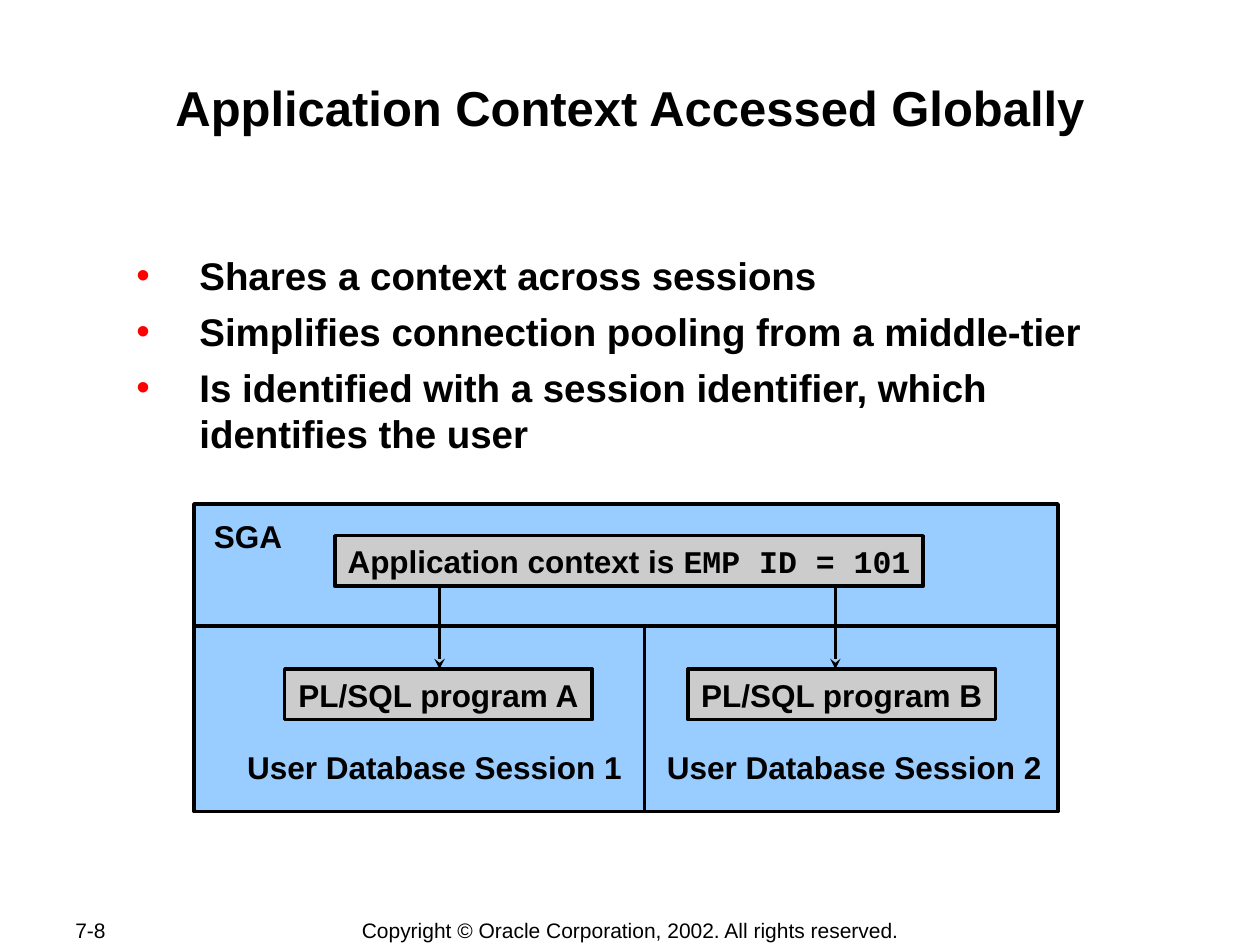
from dataclasses import dataclass
from lxml import etree
from pptx import Presentation
from pptx import util as u
from pptx.dml.color import RGBColor
from pptx.enum import shapes, text
from pptx.oxml import ns


@dataclass(frozen=True)
class Theme:
    ink: str = "000000"
    bullet: str = "FF0000"
    memory: str = "99CCFF"
    program: str = "CCCCCC"
    font: str = "Arial"
    code_font: str = "Courier New"
    title: int = 28
    body: int = 22
    label: int = 18
    footer: int = 12
    line: int = 2


THEME = Theme()
ALIGN = text.PP_ALIGN
ANCHOR = text.MSO_ANCHOR


def add_run(paragraph, content, size, name=THEME.font, bold=True):
    run = paragraph.add_run()
    run.text = content
    for key, value in dict(size=u.Pt(size), name=name, bold=bold).items():
        setattr(run.font, key, value)
    run.font.color.rgb = RGBColor.from_string(THEME.ink)


def format_frame(frame, margins, wrap, anchor):
    sides, ends = margins
    values = dict(
        margin_left=u.Cm(sides), margin_right=u.Cm(sides),
        margin_top=u.Cm(ends), margin_bottom=u.Cm(ends),
        word_wrap=wrap, vertical_anchor=anchor,
        auto_size=text.MSO_AUTO_SIZE.NONE,
    )
    for key, value in values.items():
        setattr(frame, key, value)


def place(shape, box):
    for key, value in zip(("left", "top", "width", "height"), box):
        setattr(shape, key, u.Cm(value))


def inside(box, left, top, width, height):
    """Turn a position relative to box into one on the slide."""
    return box[0] + left, box[1] + top, width, height


def add_rectangle(slide, box, fill):
    shape = slide.shapes.add_shape(shapes.MSO_SHAPE.RECTANGLE, *map(u.Cm, box))
    shape.shadow.inherit = False
    shape.fill.solid()
    shape.fill.fore_color.rgb = RGBColor.from_string(fill)
    shape.line.color.rgb = RGBColor.from_string(THEME.ink)
    shape.line.width = u.Pt(THEME.line)
    return shape


def add_label(shape, runs, size=THEME.label, bold=True, align=ALIGN.CENTER):
    """Write (text, font) runs on one line of a shape or text box."""
    format_frame(shape.text_frame, (0.25, 0.13), False, ANCHOR.MIDDLE)
    paragraph = shape.text_frame.paragraphs[0]
    paragraph.alignment = align
    for content, name in runs:
        add_run(paragraph, content, size, name, bold)


def add_caption(slide, box, content, **values):
    shape = slide.shapes.add_textbox(*map(u.Cm, box))
    add_label(shape, [(content, THEME.font)], **values)


def add_line(slide, box, start, end, arrow=False):
    points = [u.Cm(box[i] + point[i]) for point in (start, end) for i in (0, 1)]
    line = slide.shapes.add_connector(shapes.MSO_CONNECTOR.STRAIGHT, *points)
    line.line.color.rgb = RGBColor.from_string(THEME.ink)
    line.line.width = u.Pt(THEME.line)
    if arrow:
        etree.SubElement(line.line._get_or_add_ln(), ns.qn("a:tailEnd"), type="stealth")
    etree.SubElement(line._element.spPr, ns.qn("a:effectLst"))


def add_bullet(paragraph):
    properties = paragraph._p.get_or_add_pPr()
    properties.set("marL", str(u.Cm(1.6)))
    properties.set("indent", str(-u.Cm(1.27)))
    color = etree.SubElement(properties, ns.qn("a:buClr"))
    etree.SubElement(color, ns.qn("a:srgbClr"), val=THEME.bullet)
    etree.SubElement(properties, ns.qn("a:buFont"), typeface=THEME.font)
    etree.SubElement(properties, ns.qn("a:buChar"), char="•")


def fill_title(slide, box, content):
    title = slide.shapes.title
    place(title, box)
    format_frame(title.text_frame, (0.03, 0.1), True, ANCHOR.TOP)
    paragraph = title.text_frame.paragraphs[0]
    paragraph.alignment = ALIGN.CENTER
    add_run(paragraph, content, THEME.title)


def fill_list(slide, box, items):
    body = slide.placeholders[1]
    place(body, box)
    frame = body.text_frame
    format_frame(frame, (0.03, 0.03), True, ANCHOR.TOP)
    for index, item in enumerate(items):
        paragraph = frame.add_paragraph() if index else frame.paragraphs[0]
        add_bullet(paragraph)
        paragraph.space_before = u.Pt(5.5 if index else 0)
        add_run(paragraph, item, THEME.body)


def draw_memory(slide, box):
    """Draw the SGA with its shared context above two user sessions."""
    width, height = box[2:]
    divider = 2.46
    middle = 9.08
    add_rectangle(slide, box, THEME.memory)
    add_line(slide, box, (0, divider), (width, divider))
    add_line(slide, box, (middle, divider), (middle, height))
    add_caption(slide, inside(box, 0.15, 0.13, 1.88, 1.02), "SGA")

    context = add_rectangle(slide, inside(box, 2.84, 0.64, 11.86, 1.02), THEME.program)
    add_label(context, [("Application context is ", THEME.font),
                        ("EMP ID = 101", THEME.code_font)])

    sessions = (("A", 1, 1.83, 4.95, 0.81), ("B", 2, 9.96, 12.93, 9.27))
    for letter, number, program_left, arrow_x, caption_left in sessions:
        program = add_rectangle(slide, inside(box, program_left, 3.33, 6.2, 1.02),
                                THEME.program)
        add_label(program, [(f"PL/SQL program {letter}", THEME.font)])
        add_line(slide, box, (arrow_x, 1.66), (arrow_x, 3.33), arrow=True)
        add_caption(slide, inside(box, caption_left, 4.8, 8.08, 1.02),
                    f"User Database Session {number}")


def draw_footer(slide, box):
    style = dict(size=THEME.footer, bold=False)
    add_caption(slide, inside(box, 0, 0, 2.69, box[3]), "7-8", align=ALIGN.LEFT, **style)
    add_caption(slide, inside(box, 5.74, 0, 11.4, box[3]),
                "Copyright © Oracle Corporation, 2002. All rights reserved.", **style)


def main():
    presentation = Presentation()
    presentation.slide_width, presentation.slide_height = u.Cm(25.4), u.Cm(19.05)
    slide = presentation.slides.add_slide(presentation.slide_layouts[1])
    fill_title(slide, (2.54, 1.47, 20.32, 2.44), "Application Context Accessed Globally")
    fill_list(slide, (2.39, 5.05, 20.47, 4.19), (
        "Shares a context across sessions",
        "Simplifies connection pooling from a middle-tier",
        "Is identified with a session identifier, which identifies the user",
    ))
    draw_memory(slide, (3.91, 10.16, 17.42, 6.2))
    draw_footer(slide, (1.27, 18.49, 22.86, 0.52))
    presentation.save("out.pptx")


if __name__ == "__main__":
    main()
